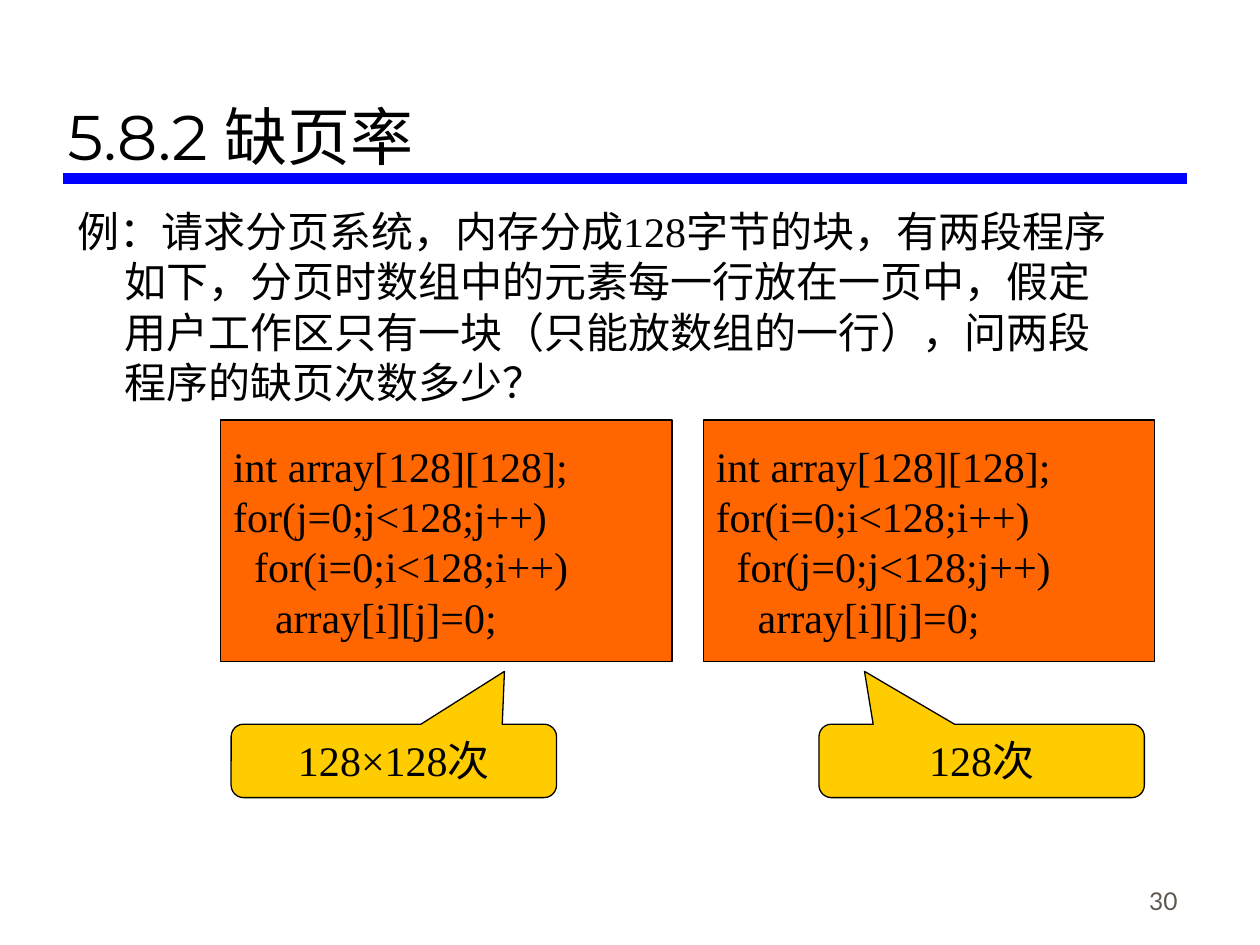
from lxml.etree import SubElement
from pptx import Presentation
from pptx.dml.color import RGBColor
from pptx.enum.shapes import MSO_CONNECTOR, MSO_SHAPE
from pptx.enum.text import MSO_ANCHOR, MSO_AUTO_SIZE, PP_ALIGN
from pptx.oxml.ns import qn
from pptx.util import Cm, Pt

BLACK = "000000"
SERIF = "Times New Roman"
QUESTION = (
    "例：请求分页系统，内存分成128字节的块，有两段程序如下，"
    "分页时数组中的元素每一行放在一页中，假定用户工作区只有一块"
    "（只能放数组的一行），问两段程序的缺页次数多少？"
)


def color(value):
    return RGBColor.from_string(value)


def place(shape, left, top, width, height):
    shape.left, shape.top = Cm(left), Cm(top)
    shape.width, shape.height = Cm(width), Cm(height)


def write(shape, text, anchor, align=PP_ALIGN.LEFT, font=SERIF, size=24,
          text_color=BLACK, wrap=True):
    frame = shape.text_frame
    frame.text = text
    frame.word_wrap = wrap
    frame.auto_size = MSO_AUTO_SIZE.NONE
    frame.vertical_anchor = anchor
    for paragraph in frame.paragraphs:
        paragraph.alignment = align
        for run in paragraph.runs:
            run.font.name = font
            run.font.size = Pt(size)
            run.font.color.rgb = color(text_color)


def add_title_rule(slide):
    rule = slide.shapes.add_connector(
        MSO_CONNECTOR.STRAIGHT, Cm(1.27), Cm(3.6), Cm(23.92), Cm(3.6))
    rule.line.color.rgb = color("0000FF")
    rule.line.width = Pt(6)
    SubElement(rule._element.spPr, qn("a:effectLst"))


def fill_title(slide, text):
    title = slide.shapes.title
    place(title, 1.11, 0.43, 22.78, 3.18)
    write(title, text, MSO_ANCHOR.BOTTOM, font="Montserrat", size=36)


def fill_body(slide, text):
    """Write the body as one unbulleted paragraph with a hanging indent."""
    body = slide.placeholders[1]
    place(body, 1.3, 4.01, 21.59, 4.45)
    write(body, text, MSO_ANCHOR.TOP)
    paragraph = body.text_frame.paragraphs[0]
    paragraph.space_before = Pt(0)
    properties = paragraph._p.get_or_add_pPr()
    properties.set("marL", str(Cm(0.95)))
    properties.set("indent", str(-Cm(0.95)))
    SubElement(properties, qn("a:buNone"))


def add_filled_shape(slide, kind, box, fill):
    shape = slide.shapes.add_shape(kind, *(Cm(length) for length in box))
    shape.shadow.inherit = False
    shape.fill.solid()
    shape.fill.fore_color.rgb = color(fill)
    shape.line.color.rgb = color(BLACK)
    shape.line.width = Pt(0.75)
    return shape


def add_loop_code(slide, left, outer, inner):
    code = "\n".join([
        "int array[128][128];",
        f"for({outer}=0;{outer}<128;{outer}++)",
        f"  for({inner}=0;{inner}<128;{inner}++)",
        "    array[i][j]=0;",
    ])
    box = add_filled_shape(
        slide, MSO_SHAPE.RECTANGLE, (left, 8.47, 9.1, 4.87), "FF6600")
    write(box, code, MSO_ANCHOR.MIDDLE, wrap=False)


def add_answer(slide, left, pointer_x, text):
    callout = add_filled_shape(
        slide, MSO_SHAPE.ROUNDED_RECTANGULAR_CALLOUT,
        (left, 14.6, 6.56, 1.48), "FFCC00")
    for index, value in enumerate((pointer_x, -1.22, 0.17)):
        callout.adjustments[index] = value
    write(callout, text, MSO_ANCHOR.TOP, PP_ALIGN.CENTER)


def add_page_number(slide, number):
    box = slide.shapes.add_textbox(Cm(18.7), Cm(17.3), Cm(5.29), Cm(1.27))
    write(box, number, MSO_ANCHOR.BOTTOM, PP_ALIGN.RIGHT, "Lato", 14, "5E574E")


def main():
    presentation = Presentation()
    presentation.slide_width, presentation.slide_height = Cm(25.4), Cm(19.05)
    slide = presentation.slides.add_slide(presentation.slide_layouts[1])
    add_title_rule(slide)
    add_page_number(slide, "30")
    fill_title(slide, "5.8.2 缺页率")
    fill_body(slide, QUESTION)
    add_loop_code(slide, 4.45, outer="j", inner="i")
    add_loop_code(slide, 14.18, outer="i", inner="j")
    add_answer(slide, 4.66, 0.34, "128×128次")
    add_answer(slide, 16.51, -0.36, "128次")
    presentation.save("out.pptx")


if __name__ == "__main__":
    main()
